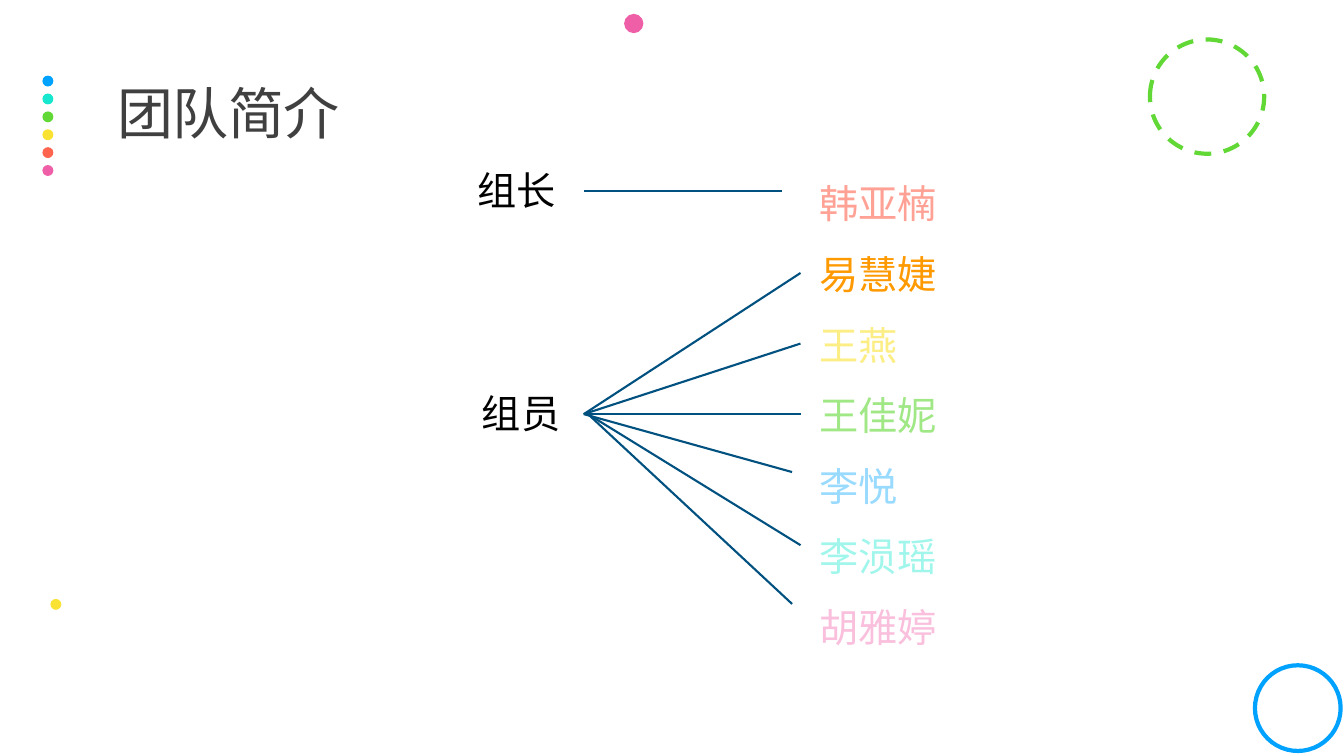
from dataclasses import dataclass
from typing import Optional

from lxml.etree import SubElement
from pptx import Presentation
from pptx.dml.color import RGBColor
from pptx.enum.dml import MSO_LINE_DASH_STYLE as Dash
from pptx.enum.shapes import MSO_CONNECTOR as Connector, MSO_SHAPE as Shape
from pptx.enum.text import MSO_ANCHOR as Anchor
from pptx.oxml.ns import qn
from pptx.slide import Slide
from pptx.util import Inches, Pt

SLIDE_WIDTH, SLIDE_HEIGHT = Inches(13.333), Inches(7.5)
COLUMNS, ROWS = 160, 90


@dataclass(frozen=True)
class Theme:
    blue: str = "00A2FF"
    teal: str = "16E7CF"
    green: str = "61D836"
    yellow: str = "FAE232"
    coral: str = "FF644E"
    pink: str = "EF5FA7"
    heading: str = "404040"
    label: str = "000000"
    link: str = "005180"
    heading_font: str = "Noto Sans CJK SC"
    body_font: str = "DejaVu Sans"
    heading_size: float = 40
    body_size: float = 28
    ring_width: float = 3
    link_width: float = 1.5


THEME = Theme()


@dataclass(frozen=True)
class Circle:
    column: float
    row: float
    diameter: float
    color: str
    ring: bool = False
    dash: Optional[Dash] = None


@dataclass(frozen=True)
class TextLine:
    text: str
    color: str


@dataclass(frozen=True)
class TextBlock:
    column: float
    row: float
    width: float
    height: float
    lines: tuple[TextLine, ...]
    font: str = THEME.body_font
    size: float = THEME.body_size
    line_spacing: float = 1.0
    heading: bool = False


@dataclass(frozen=True)
class Link:
    start: tuple[float, float]
    end: tuple[float, float]


DOT_COLORS = (THEME.blue, THEME.teal, THEME.green, THEME.yellow, THEME.coral, THEME.pink)
DOT_SIZE, DOT_PITCH = 1.3, 2.13
CIRCLES = tuple(
    Circle(5.05, 9 + index * DOT_PITCH, DOT_SIZE, color)
    for index, color in enumerate(DOT_COLORS)
) + (
    Circle(136.9, 4.7, 13.6, THEME.green, ring=True, dash=Dash.DASH),
    Circle(74.3, 1.65, 2.3, THEME.pink),
    Circle(6, 71.3, DOT_SIZE, THEME.yellow),
    Circle(149.4, 79.2, 10.2, THEME.blue, ring=True),
)

TEAM = (
    TextLine("韩亚楠", "FFA295"),
    TextLine("易慧婕", "FF9900"),
    TextLine("王燕", "FCEE84"),
    TextLine("王佳妮", "A0E886"),
    TextLine("李悦", "99DAFF"),
    TextLine("李涢瑶", "A1F6EC"),
    TextLine("胡雅婷", "F9BFDC"),
)
TEXT_BLOCKS = (
    TextBlock(14, 7.3, 30.6, 13.1, (TextLine("团队简介", THEME.heading),),
              THEME.heading_font, THEME.heading_size, 0.9, heading=True),
    TextBlock(96.4, 18, 27.4, 59.5, TEAM, line_spacing=1.5),
    TextBlock(55.7, 19.2, 13.8, 6.8, (TextLine("组长", THEME.label),)),
    TextBlock(56.2, 45.8, 13.8, 10.6, (TextLine("组员", THEME.label),)),
)

LEADER_ROW, MEMBER_ROW = 22.7, 49.3
LINK_LEFT, LINK_INSET = 69.5, 70
LINK_RIGHT, LINK_SHORT = 95.3, 94.3
LINKS = (
    Link((LINK_LEFT, LEADER_ROW), (93.1, LEADER_ROW)),
    Link((LINK_LEFT, MEMBER_ROW), (LINK_RIGHT, 32.5)),
    Link((LINK_LEFT, MEMBER_ROW), (LINK_RIGHT, 40.9)),
    Link((LINK_LEFT, MEMBER_ROW), (LINK_RIGHT, MEMBER_ROW)),
    Link((LINK_LEFT, MEMBER_ROW), (LINK_SHORT, 56.2)),
    Link((LINK_INSET, MEMBER_ROW), (LINK_RIGHT, 64.9)),
    Link((LINK_INSET, MEMBER_ROW), (LINK_SHORT, 71.9)),
)


def across(columns: float) -> int:
    return round(SLIDE_WIDTH * columns / COLUMNS)


def down(rows: float) -> int:
    return round(SLIDE_HEIGHT * rows / ROWS)


def draw_circle(slide: Slide, circle: Circle) -> None:
    shape = slide.shapes.add_shape(
        Shape.OVAL, across(circle.column), down(circle.row),
        across(circle.diameter), down(circle.diameter))
    shape.shadow.inherit = False
    color = RGBColor.from_string(circle.color)
    if circle.ring:
        shape.fill.background()
        shape.line.color.rgb = color
        shape.line.width = Pt(THEME.ring_width)
        if circle.dash is not None:
            shape.line.dash_style = circle.dash
    else:
        shape.fill.solid()
        shape.fill.fore_color.rgb = color
        shape.line.fill.background()


def draw_text(slide: Slide, block: TextBlock) -> None:
    box = slide.shapes.add_textbox(
        across(block.column), down(block.row), across(block.width), down(block.height))
    frame = box.text_frame
    frame.word_wrap = True
    if block.heading:
        frame.vertical_anchor = Anchor.MIDDLE
        frame.margin_left = frame.margin_right = 0
    frame.text = "\n".join(line.text for line in block.lines)
    for paragraph, line in zip(frame.paragraphs, block.lines):
        paragraph.line_spacing = block.line_spacing
        run = paragraph.runs[0]
        run.font.size = Pt(block.size)
        run.font.name = block.font
        run.font.color.rgb = RGBColor.from_string(line.color)
        properties = run.font._element if hasattr(run.font, "_element") else run._r.get_or_add_rPr()
        SubElement(properties, qn("a:ea")).set("typeface", block.font)
        if block.heading:
            properties.set("spc", "-50")


def draw_link(slide: Slide, link: Link) -> None:
    (left, top), (right, bottom) = link.start, link.end
    connector = slide.shapes.add_connector(
        Connector.STRAIGHT, across(left), down(top), across(right), down(bottom))
    connector.line.color.rgb = RGBColor.from_string(THEME.link)
    connector.line.width = Pt(THEME.link_width)
    SubElement(connector._element.spPr, qn("a:effectLst"))


def main() -> None:
    presentation = Presentation()
    presentation.slide_width, presentation.slide_height = SLIDE_WIDTH, SLIDE_HEIGHT
    slide = presentation.slides.add_slide(presentation.slide_layouts[6])
    for circle in CIRCLES:
        draw_circle(slide, circle)
    for block in TEXT_BLOCKS:
        draw_text(slide, block)
    for link in LINKS:
        draw_link(slide, link)
    presentation.save("out.pptx")


if __name__ == "__main__":
    main()
